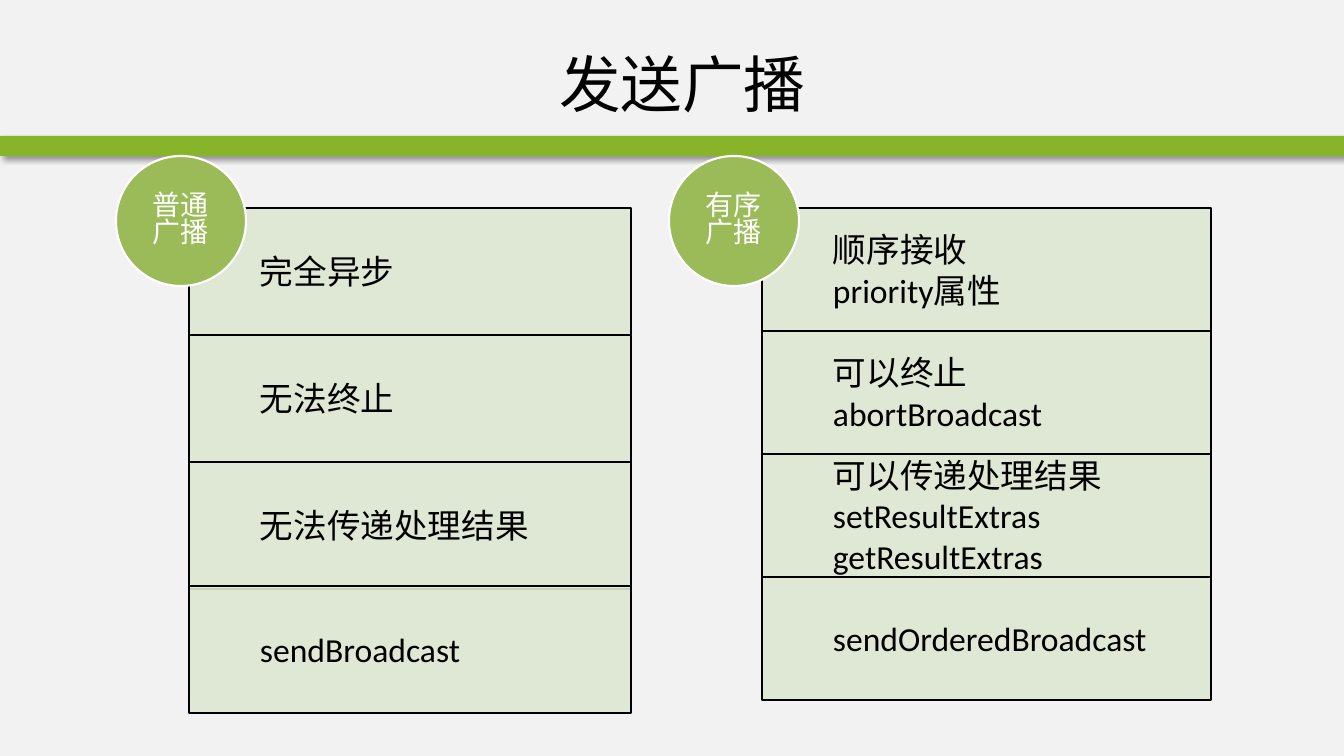
from lxml.etree import SubElement
from pptx import Presentation
from pptx.dml.color import RGBColor
from pptx.enum.shapes import MSO_SHAPE
from pptx.enum.text import MSO_ANCHOR, PP_ALIGN
from pptx.oxml.ns import qn
from pptx.util import Emu, Pt

EMU_PER_PX = 914400 / 100.8
CJK_FONT = "Noto Sans CJK SC"
ROW_FILL, BAR_FILL, CIRCLE_FILL = "DEE7D1", "88B429", "9BBB59"
BLACK, WHITE, PAPER = "000000", "FFFFFF", "F2F2F2"


def px(length):
    return Emu(round(length * EMU_PER_PX))


def color(hex_string):
    return RGBColor.from_string(hex_string)


def apply_format(target, values):
    for name, value in values.items():
        setattr(target, name, value)


def place(shape, left, top, width, height):
    apply_format(shape, {"left": px(left), "top": px(top),
                         "width": px(width), "height": px(height)})


def write_lines(shape, lines, size, font_name, ink, align, spacing=1.0, insets=(0, 0, 0, 0)):
    frame = shape.text_frame
    left, top, right, bottom = map(px, insets)
    apply_format(frame, {"word_wrap": True, "vertical_anchor": MSO_ANCHOR.MIDDLE,
                         "margin_left": left, "margin_top": top,
                         "margin_right": right, "margin_bottom": bottom})
    frame.text = "\n".join(lines)
    for paragraph in frame.paragraphs:
        apply_format(paragraph, {"alignment": align, "line_spacing": spacing})
        for run in paragraph.runs:
            apply_format(run.font, {"size": Pt(size), "name": font_name})
            run.font.color.rgb = color(ink)
            east_asian = SubElement(run.font._element, qn("a:ea"))
            east_asian.set("typeface", CJK_FONT)


def add_panel(slide, kind, box, fill, line=None):
    shape = slide.shapes.add_shape(kind, *map(px, box))
    shape.shadow.inherit = False
    shape.fill.solid()
    shape.fill.fore_color.rgb = color(fill)
    if line:
        shape.line.color.rgb = color(line)
        shape.line.width = Pt(1.5)
    else:
        shape.line.fill.background()
    return shape


def add_bar(slide):
    bar = add_panel(slide, MSO_SHAPE.RECTANGLE, (0, 136, 1344, 20), BAR_FILL)
    effects = bar._element.spPr.find(qn("a:effectLst"))
    shadow = SubElement(effects, qn("a:outerShdw"), blurRad=str(Pt(4)),
                        dist=str(Pt(3)), dir=str(45 * 60000))
    shade = SubElement(shadow, qn("a:srgbClr"), val=BLACK)
    SubElement(shade, qn("a:alpha"), val="40000")


def add_row(slide, box, lines):
    row = add_panel(slide, MSO_SHAPE.RECTANGLE, box, ROW_FILL, BLACK)
    fill_color = row._element.spPr.find(qn("a:solidFill"))[0]
    SubElement(fill_color, qn("a:alpha"), val="90000")
    write_lines(row, lines, 24, "Calibri", BLACK, PP_ALIGN.LEFT, insets=(71, 19, 19, 19))


def add_circle(slide, left, lines):
    circle = add_panel(slide, MSO_SHAPE.OVAL, (left, 156, 130, 130), CIRCLE_FILL, WHITE)
    write_lines(circle, lines, 20, CJK_FONT, WHITE, PP_ALIGN.CENTER, spacing=0.8)


def add_column(slide, left, width, tops, height, rows, circle_left, label):
    for top, lines in zip(tops, rows):
        add_row(slide, (left, top, width, height), lines)
    add_circle(slide, circle_left, label)


def main():
    presentation = Presentation()
    presentation.slide_width, presentation.slide_height = px(1344), px(756)
    slide = presentation.slides.add_slide(presentation.slide_layouts[5])
    slide.background.fill.solid()
    slide.background.fill.fore_color.rgb = color(PAPER)

    # Title and the bar below it
    title = slide.shapes.title
    place(title, 140, 30, 1085, 106)
    write_lines(title, ["发送广播"], 44, CJK_FONT, BLACK, PP_ALIGN.CENTER,
                insets=(10, 5, 10, 5))
    add_bar(slide)

    # Normal broadcast: the last row overlaps the one above slightly
    normal_rows = [["完全异步"], ["无法终止"], ["无法传递处理结果"], ["sendBroadcast"]]
    add_column(slide, 189, 442, (208, 335, 462, 586), 127, normal_rows,
               116, ["普通", "广播"])

    # Ordered broadcast
    ordered_rows = [["顺序接收", "priority属性"],
                    ["可以终止", "abortBroadcast"],
                    ["可以传递处理结果", "setResultExtras", "getResultExtras"],
                    ["sendOrderedBroadcast"]]
    add_column(slide, 762, 449, range(208, 700, 123), 123, ordered_rows,
               669, ["有序", "广播"])

    presentation.save("out.pptx")


if __name__ == "__main__":
    main()
